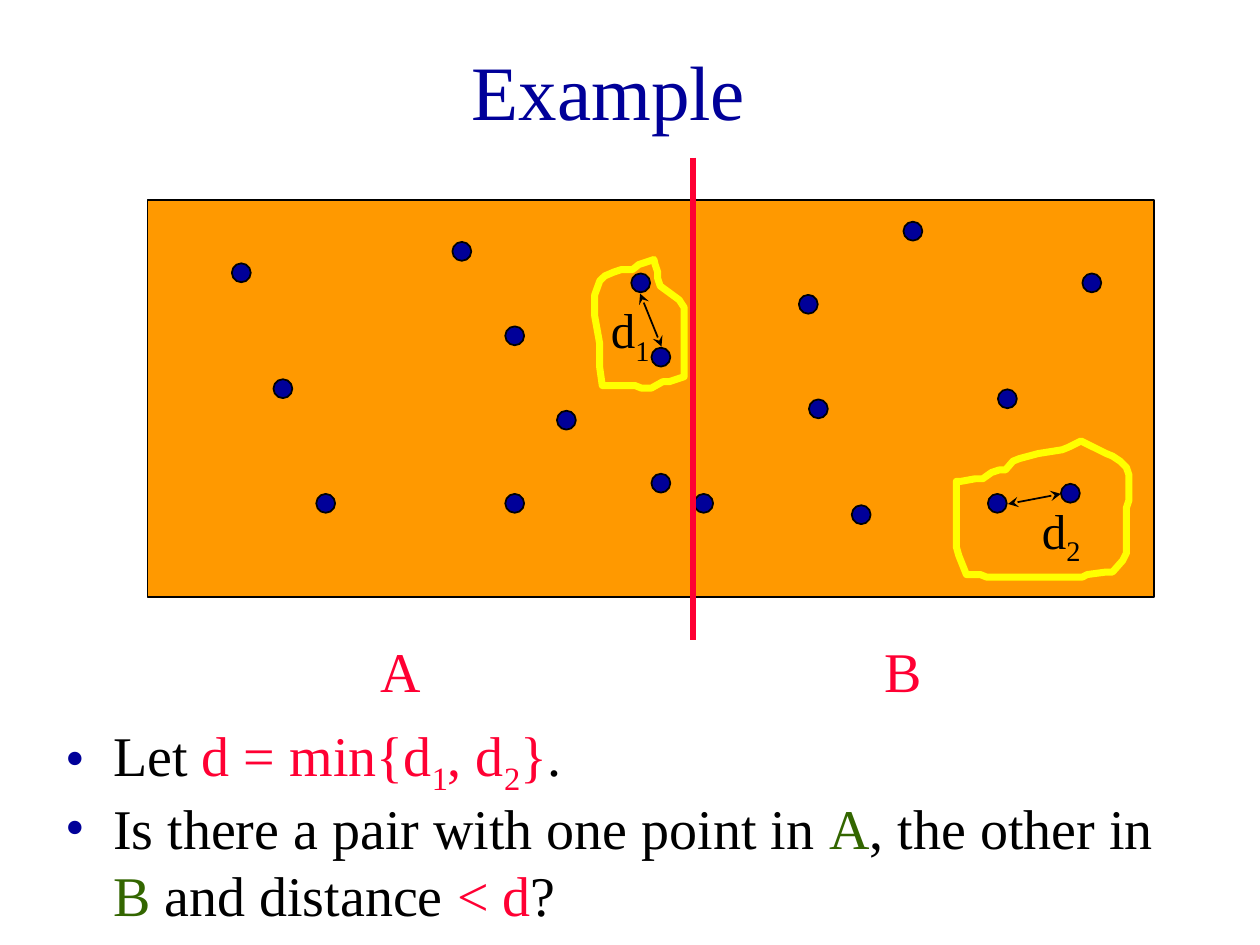
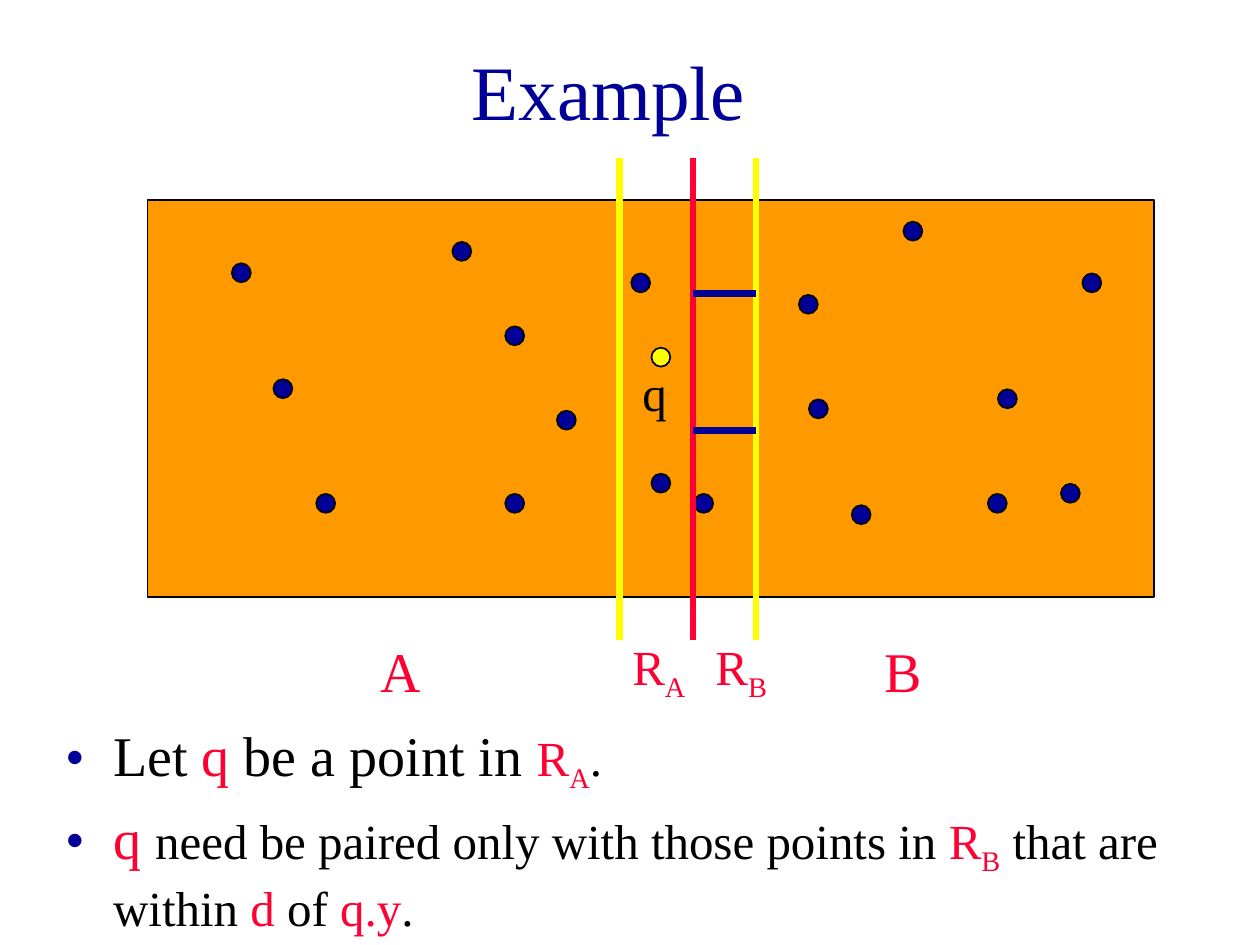
"""Build two slides on the closest pair of points."""
import dataclasses
import typing

import lxml.etree
import pptx
import pptx.dml.color
import pptx.enum.shapes
import pptx.enum.text
import pptx.oxml.ns
import pptx.util

Inches = pptx.util.Inches
Pt = pptx.util.Pt
Box = tuple[float, float, float, float]
Point = tuple[float, float]

FONT = "Times New Roman"
NAVY, RED, GREEN = "000099", "FF0033", "336600"
ORANGE, YELLOW, BLACK = "FF9900", "FFFF00", "000000"
FIELD = (1.17, 1.59, 7.99, 3.15)
SIZE = 0.15
TOP, BASE = 1.25, 5.08
THICK, THIN = 4, 1


@dataclasses.dataclass(frozen=True)
class Run:
    """A piece of text; an empty colour or size takes the default."""
    text: str
    color: str = ""
    size: float = 0
    sub: bool = False


@dataclasses.dataclass(frozen=True)
class Dot:
    """A point of the plane, by its left and top."""
    left: float
    top: float
    color: str = NAVY


@dataclasses.dataclass(frozen=True)
class Line:
    """A straight line between two points."""
    start: Point
    end: Point
    color: str
    width: float = THICK
    arrows: bool = False


@dataclasses.dataclass(frozen=True)
class Label:
    """A short text on or under the field."""
    left: float
    top: float
    width: float
    runs: list[Run]
    color: str = RED
    size: float = 28
    height: float = 0.63


DOTS = [Dot(*spot) for spot in (
    (1.84, 2.09), (5.01, 2.17), (8.59, 2.17), (2.17, 3.01), (2.51, 3.92),
    (4.01, 3.92), (5.51, 3.92), (6.34, 2.34), (7.17, 1.76), (4.42, 3.26),
    (4.01, 2.59), (3.59, 1.92), (6.42, 3.17), (5.17, 3.76), (7.92, 3.09),
    (8.42, 3.84), (7.84, 3.92), (6.76, 4.01))]
SIDES = [Label(2.92, 5, 0.75, [Run("A")], size=32),
         Label(6.92, 5, 0.75, [Run("B")], size=32)]
LEFT_LOOP = [
    (5.17, 3.08), (5.09, 3.08), (5.04, 3.06), (4.78, 3.06), (4.76, 2.92),
    (4.76, 2.73), (4.72, 2.51), (4.72, 2.34), (4.76, 2.23), (4.8, 2.19),
    (4.87, 2.16), (4.93, 2.14), (5.02, 2.14), (5.07, 2.1), (5.19, 2.06),
    (5.2, 2.1), (5.22, 2.16), (5.22, 2.21), (5.24, 2.27), (5.39, 2.38),
    (5.43, 2.44), (5.43, 2.99), (5.31, 3.03), (5.26, 3.03)]
RIGHT_LOOP = [
    (8.58, 3.5), (8.48, 3.55), (8.43, 3.57), (8.24, 3.6), (8.09, 3.64),
    (8.04, 3.66), (7.98, 3.73), (7.93, 3.73), (7.87, 3.75), (7.8, 3.8),
    (7.74, 3.8), (7.63, 3.82), (7.59, 3.82), (7.59, 4.34), (7.61, 4.41),
    (7.67, 4.56), (7.78, 4.56), (7.83, 4.58), (8.59, 4.58), (8.63, 4.56),
    (8.78, 4.54), (8.83, 4.54), (8.91, 4.45), (8.94, 4.39), (8.94, 4.03),
    (8.96, 3.97), (8.96, 3.77), (8.94, 3.71), (8.89, 3.66), (8.83, 3.62),
    (8.78, 3.6)]


def tint(code: str) -> pptx.dml.color.RGBColor:
    """Turn a hex string into a colour."""
    return pptx.dml.color.RGBColor.from_string(code)


def node(parent: typing.Any, tag: str, **attrs: str) -> typing.Any:
    """Append a drawing element to its parent."""
    return lxml.etree.SubElement(parent, pptx.oxml.ns.qn(tag), attrs)


def words(slide: typing.Any, box: Box, runs: list[Run], *, size: float = 32,
          color: str = BLACK, before: float = 0, center: bool = False,
          bullet: bool = False, grow: bool = False) -> None:
    """Write one paragraph of runs in a text box."""
    frame = slide.shapes.add_textbox(*map(Inches, box)).text_frame
    frame.word_wrap = True
    fit = pptx.enum.text.MSO_AUTO_SIZE
    frame.auto_size = fit.SHAPE_TO_FIT_TEXT if grow else fit.NONE
    para = frame.paragraphs[0]
    para.space_before = Pt(before)
    if center:
        frame.vertical_anchor = pptx.enum.text.MSO_ANCHOR.MIDDLE
        para.alignment = pptx.enum.text.PP_ALIGN.CENTER
    if bullet:
        props = para._p.get_or_add_pPr()
        props.set("marL", str(Inches(0.38)))
        props.set("indent", str(Inches(-0.38)))
        node(node(props, "a:buClr"), "a:srgbClr", val=NAVY)
        node(props, "a:buFont", typeface=FONT)
        node(props, "a:buChar", char="•")
    for run in runs:
        part = para.add_run()
        part.text = run.text
        part.font.name = FONT
        part.font.size = Pt(run.size or size)
        part.font.color.rgb = tint(run.color or color)
        if run.sub:
            part.font._element.set("baseline", "-25000")


def solid(slide: typing.Any, kind: str, box: Box, color: str) -> None:
    """Draw a filled preset shape with a thin black edge."""
    preset = pptx.enum.shapes.MSO_SHAPE[kind]
    shape = slide.shapes.add_shape(preset, *map(Inches, box))
    shape.shadow.inherit = False
    shape.fill.solid()
    shape.fill.fore_color.rgb = tint(color)
    shape.line.color.rgb = tint(BLACK)
    shape.line.width = Pt(THIN)


def spot(slide: typing.Any, dot: Dot) -> None:
    """Draw one point."""
    solid(slide, "OVAL", (dot.left, dot.top, SIZE, SIZE), dot.color)


def rule(slide: typing.Any, line: Line) -> None:
    """Draw one line, with arrowheads if asked."""
    kind = pptx.enum.shapes.MSO_CONNECTOR.STRAIGHT
    link = slide.shapes.add_connector(
        kind, *map(Inches, line.start + line.end))
    link.line.color.rgb = tint(line.color)
    link.line.width = Pt(line.width)
    if line.arrows:
        for tag in ("a:headEnd", "a:tailEnd"):
            node(link.line._get_or_add_ln(), tag, type="stealth")
    node(link._element.spPr, "a:effectLst")


def loop(slide: typing.Any, spots: list[Point]) -> None:
    """Draw a closed yellow outline around a pair."""
    ends = [(Inches(left), Inches(top)) for left, top in spots]
    pen = slide.shapes.build_freeform(*ends[0])
    pen.add_line_segments(ends[1:], close=True)
    shape = pen.convert_to_shape()
    shape.shadow.inherit = False
    shape.fill.background()
    shape.line.color.rgb = tint(YELLOW)
    shape.line.width = Pt(THICK)


def note(slide: typing.Any, label: Label) -> None:
    """Write one label."""
    words(slide, (label.left, label.top, label.width, label.height),
          label.runs, size=label.size, color=label.color,
          before=label.size * 0.625, grow=True)


def point(slide: typing.Any, top: float, runs: list[Run], before: float,
          size: float = 32) -> None:
    """Write one bullet point."""
    words(slide, (0.42, top, 9, 0.67), runs, size=size, before=before,
          bullet=True)


def upright(left: float, color: str) -> Line:
    """Give a vertical line across the field."""
    return Line((left, TOP), (left, BASE), color)


def start(deck: typing.Any) -> typing.Any:
    """Add a slide with the title, field and points."""
    slide = deck.slides.add_slide(deck.slide_layouts[6])
    words(slide, (0.58, 0.25, 8.5, 0.92), [Run("Example")],
          size=44, color=NAVY, center=True)
    solid(slide, "RECTANGLE", FIELD, ORANGE)
    for dot in DOTS:
        spot(slide, dot)
    return slide


def split(slide: typing.Any) -> None:
    """Draw the dividing line and name the sides."""
    rule(slide, upright(5.5, RED))
    for label in SIDES:
        note(slide, label)


def pairs(deck: typing.Any) -> None:
    """Build the slide on the closest pair of each side."""
    slide = start(deck)
    spot(slide, Dot(5.17, 2.76))
    split(slide)
    for spots in (LEFT_LOOP, RIGHT_LOOP):
        loop(slide, spots)
    for first, last in (((5.08, 2.33), (5.25, 2.75)),
                        ((8, 4), (8.42, 3.92))):
        rule(slide, Line(first, last, BLACK, THIN, True))
    for left, top, index in ((4.75, 2.33, "1"), (8.17, 3.92, "2")):
        runs = [Run("d"), Run(index, sub=True)]
        note(slide, Label(left, top, 0.58, runs, BLACK))
    point(slide, 5.67, [
        Run("Let "), Run("d = min{d", RED), Run("1", RED, sub=True),
        Run(", d", RED), Run("2", RED, sub=True), Run("}", RED),
        Run(".")], before=8)
    point(slide, 6.25, [
        Run("Is there a pair with one point in "), Run("A", GREEN),
        Run(", the other in "), Run("B", GREEN), Run(" and distance "),
        Run("< d", RED), Run("?")], before=8)


def strip(deck: typing.Any) -> None:
    """Build the slide on the strip around the dividing line."""
    slide = start(deck)
    split(slide)
    for left in (4.92, 6):
        rule(slide, upright(left, YELLOW))
    for left, side in ((4.92, "A"), (5.58, "B")):
        note(slide, Label(left, 5, 0.75, [Run("R"), Run(side, sub=True)]))
    spot(slide, Dot(5.17, 2.76, YELLOW))
    note(slide, Label(5, 2.83, 0.42, [Run("q")], BLACK, height=0.57))
    for top in (2.33, 3.42):
        rule(slide, Line((5.5, top), (6, top), NAVY))
    point(slide, 5.67, [
        Run("Let "), Run("q ", RED), Run("be a point in "),
        Run("R", RED, 28), Run("A", RED, 28, True), Run(".", size=28)],
        before=7)
    point(slide, 6.33, [
        Run("q ", RED, 32), Run("need be paired only with those points in "),
        Run("R", RED), Run("B", RED, sub=True), Run(" that are within "),
        Run("d ", RED), Run("of "), Run("q.y", RED), Run(".")],
        before=7, size=28)


def main() -> None:
    """Build and save the deck."""
    deck = pptx.Presentation()
    deck.slide_width, deck.slide_height = Inches(10), Inches(7.5)
    pairs(deck)
    strip(deck)
    deck.save("out.pptx")


if __name__ == "__main__":
    main()
